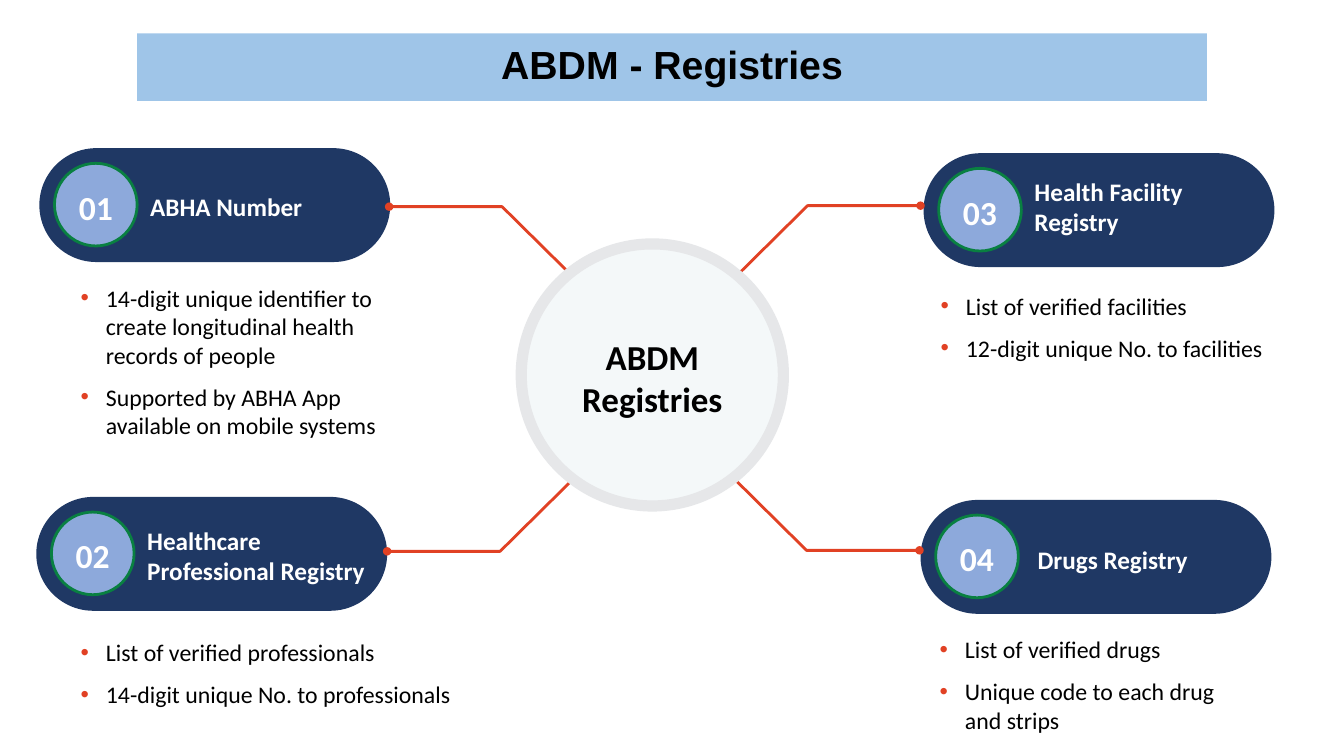
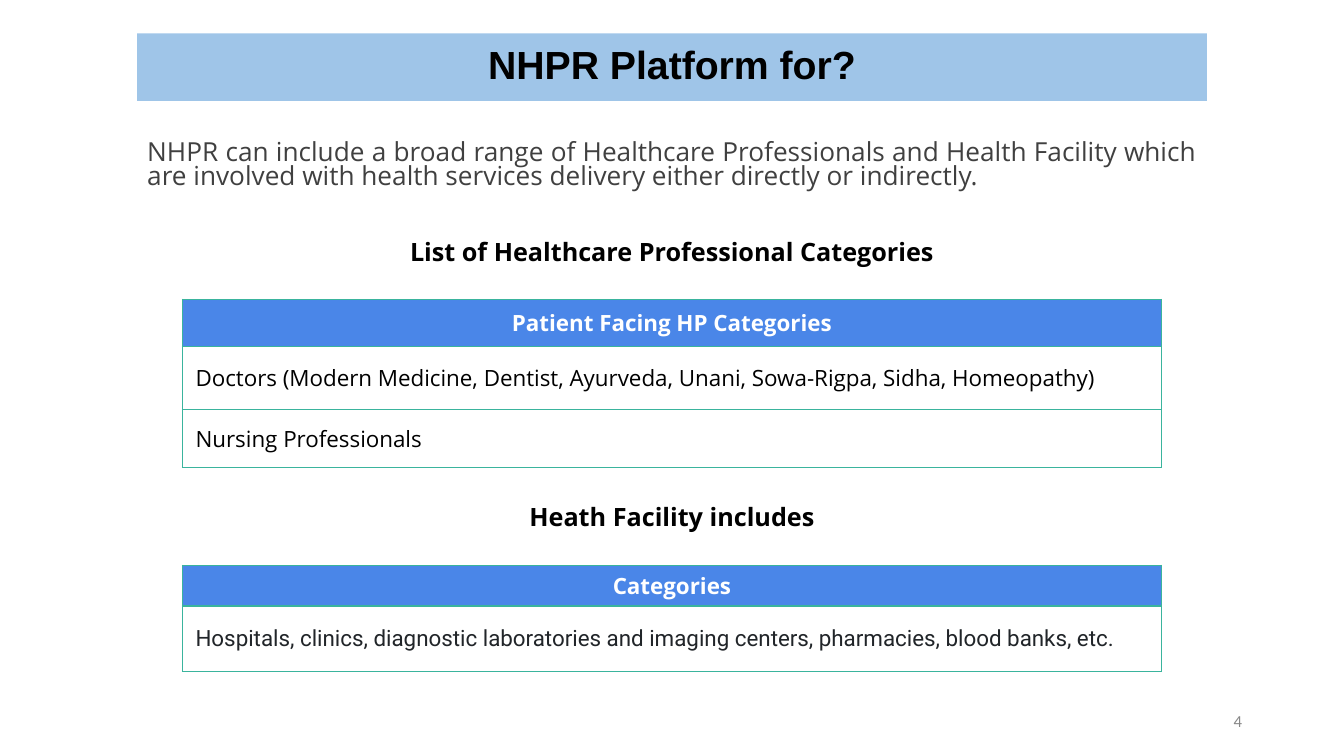
from dataclasses import dataclass

from lxml.etree import SubElement
from pptx import Presentation
from pptx.dml.color import RGBColor
from pptx.enum.shapes import MSO_SHAPE
from pptx.enum.text import MSO_ANCHOR, MSO_AUTO_SIZE, PP_ALIGN
from pptx.oxml.ns import qn
from pptx.util import Inches, Pt


@dataclass(frozen=True)
class Theme:
    band: str = "9FC5E8"
    navy: str = "1F3864"
    disc: str = "8DA9DB"
    green: str = "098041"
    red: str = "E14124"
    ring: str = "E6E7E9"
    hub: str = "F4F8F9"
    head: str = "4A86E8"
    rule: str = "3AB49D"
    white: str = "FFFFFF"
    black: str = "000000"
    grey: str = "404040"
    soft: str = "212529"
    pale: str = "888888"
    title: float = 28
    hubtext: float = 25
    number: float = 24
    lead: float = 18.7
    label: float = 18
    item: float = 17
    cell: float = 16
    page: float = 12
    arial: str = "Arial"
    plain: str = "Calibri"
    sans: str = "Open Sans"
    robot: str = "Roboto"


T = Theme()
MID = MSO_ANCHOR.MIDDLE
LEFT, CENTER, RIGHT = PP_ALIGN.LEFT, PP_ALIGN.CENTER, PP_ALIGN.RIGHT

# Pill corner, number, label, label offset, line start, line direction
PILLS = [
    (0.39, 1.47, "01", "ABHA Number", 1.1, 0.21, (3.86, 2.05), (1, 1)),
    (0.36, 4.93, "02", "Healthcare Professional Registry", 1.1, 0.21, (3.84, 5.47), (1, -1)),
    (9.16, 1.52, "03", "Health Facility Registry", 1.1, 0.16, (9.13, 2.04), (-1, 1)),
    (9.13, 4.96, "04", "Drugs Registry", 1.16, 0.22, (9.12, 5.46), (-1, -1)),
]
LISTS = [
    ((0.8, 2.81, 3.25, 1.55), [
        "14-digit unique identifier to create longitudinal health records of people",
        "Supported by ABHA App available on mobile systems"]),
    ((0.8, 6.33, 4.52, 0.75), [
        "List of verified professionals", "14-digit unique No. to professionals"]),
    ((9.33, 2.89, 3.57, 0.75), [
        "List of verified facilities", "12-digit unique No. to facilities"]),
    ((9.32, 6.3, 3.14, 1.05), [
        "List of verified drugs", "Unique code to each drug and strips"]),
]


def rgb(code):
    return RGBColor.from_string(code)


def place(shape, box):
    shape.left, shape.top, shape.width, shape.height = map(Inches, box)


def setup(frame, anchor=MSO_ANCHOR.TOP, pads=(0, 0, 0, 0)):
    """Fix wrapping, anchor and insets (left, top, right, bottom)."""
    frame.word_wrap = True
    frame.auto_size = MSO_AUTO_SIZE.NONE
    frame.vertical_anchor = anchor
    (frame.margin_left, frame.margin_top,
     frame.margin_right, frame.margin_bottom) = map(Inches, pads)


def write(para, text, size, font, color, bold=False, align=LEFT, lead=1.0, before=0):
    para.alignment = align
    para.line_spacing = lead
    para.space_before = Pt(before)
    run = para.add_run()
    run.text = text
    run.font.size = Pt(size)
    run.font.name = font
    run.font.bold = bold
    run.font.color.rgb = rgb(color)


def bullet(para, color=None):
    """Set a coloured bullet, or none when no colour is given."""
    props = para._p.get_or_add_pPr()
    indent = Inches(0.25) if color else 0
    props.set("marL", str(indent))
    props.set("indent", str(-indent))
    if color:
        tint = SubElement(props, qn("a:buClr"))
        SubElement(tint, qn("a:srgbClr"), val=color)
        SubElement(props, qn("a:buFont"), typeface=T.arial)
        SubElement(props, qn("a:buChar"), char="•")
    else:
        SubElement(props, qn("a:buNone"))


def shape(host, kind, box, fill, line=None, width=2):
    form = host.add_shape(kind, *map(Inches, box))
    form.shadow.inherit = False
    form.fill.solid()
    form.fill.fore_color.rgb = rgb(fill)
    if line:
        form.line.color.rgb = rgb(line)
        form.line.width = Pt(width)
    else:
        form.line.fill.background()
    return form


def label(host, box, text, size, font, color, bold=True, align=LEFT):
    frame = host.add_textbox(*map(Inches, box)).text_frame
    setup(frame, MID)
    write(frame.paragraphs[0], text, size, font, color, bold, align)


def title(slide, text):
    band = slide.shapes.title
    place(band, (1.36, 0.33, 10.61, 0.67))
    band.fill.solid()
    band.fill.fore_color.rgb = rgb(T.band)
    setup(band.text_frame, MID, (0.1, 0.05, 0.1, 0.05))
    write(band.text_frame.paragraphs[0], text, T.title, T.arial, T.black, True, CENTER, 0.9)


def pill(slide, x, y, num, text, dx, dy):
    group = slide.shapes.add_group_shape().shapes
    body = shape(group, MSO_SHAPE.ROUNDED_RECTANGLE, (x, y, 3.48, 1.13), T.navy)
    body.adjustments[0] = 0.5
    disc = shape(group, MSO_SHAPE.OVAL, (x + 0.15, y + 0.15, 0.82, 0.82), T.disc, T.green)
    setup(disc.text_frame, MID, (0, 0.04, 0, 0))
    write(disc.text_frame.paragraphs[0], num, T.number, T.plain, T.white, True, CENTER)
    label(group, (x + dx, y + dy, 2.22, 0.74), text, T.label, T.plain, T.white)


def elbow(slide, start, turn):
    """Draw a bent line from a pill towards the hub."""
    (x, y), (sx, sy) = start, turn
    bends = [(x + sx * 1.12, y), (x + sx * 2.04, y + sy * 0.91)]
    pen = slide.shapes.build_freeform(Inches(x), Inches(y))
    pen.add_line_segments([(Inches(a), Inches(b)) for a, b in bends], close=False)
    form = pen.convert_to_shape()
    form.shadow.inherit = False
    form.fill.background()
    form.line.color.rgb = rgb(T.red)
    form.line.width = Pt(2)
    for end in ("a:headEnd", "a:tailEnd"):
        SubElement(form.line._get_or_add_ln(), qn(end), type="oval")


def hub(slide, text):
    disc = shape(slide.shapes, MSO_SHAPE.OVAL, (5.17, 2.42, 2.6, 2.6), T.hub, T.ring, 8)
    setup(disc.text_frame, MID, (0.05, 0.05, 0.05, 0))
    write(disc.text_frame.paragraphs[0], text, T.hubtext, T.plain, T.black, True, CENTER)


def bullets(holder, box, items):
    place(holder, box)
    frame = holder.text_frame
    setup(frame)
    for i, text in enumerate(items):
        para = frame.add_paragraph() if i else frame.paragraphs[0]
        write(para, text, T.item, T.plain, T.black, before=9.6 if i else 0)
        bullet(para, T.red)


def border(cell):
    props = cell._tc.get_or_add_tcPr()
    for side in ("a:lnL", "a:lnR", "a:lnT", "a:lnB"):
        line = SubElement(props, qn(side), w=str(Pt(1)))
        fill = SubElement(line, qn("a:solidFill"))
        SubElement(fill, qn("a:srgbClr"), val=T.rule)


def table(slide, top, rows, font, color):
    """Draw a one-column table from (height, text) rows, the first a header."""
    high = sum(h for h, _ in rows)
    grid = slide.shapes.add_table(
        len(rows), 1, Inches(1.81), Inches(top), Inches(9.71), Inches(high)).table
    grid.first_row = grid.horz_banding = False
    for i, (height, text) in enumerate(rows):
        grid.rows[i].height = Inches(height)
        cell = grid.cell(i, 0)
        border(cell)
        cell.vertical_anchor = MID
        cell.margin_left = cell.margin_right = Inches(0.13)
        cell.margin_top = cell.margin_bottom = Inches(0.05)
        para = cell.text_frame.paragraphs[0]
        if i:
            cell.fill.background()
            write(para, text, T.cell, font, color)
        else:
            cell.fill.solid()
            cell.fill.fore_color.rgb = rgb(T.head)
            write(para, text, T.cell, T.sans, T.white, True, CENTER)


def registries(deck):
    slide = deck.slides.add_slide(deck.slide_layouts.get_by_name("Comparison"))
    title(slide, "ABDM - Registries")
    for *spot, start, turn in PILLS:
        pill(slide, *spot)
        elbow(slide, start, turn)
    hub(slide, "ABDM Registries")
    for idx, (box, items) in enumerate(LISTS, 1):
        bullets(slide.placeholders[idx], box, items)


def platform(deck):
    slide = deck.slides.add_slide(deck.slide_layouts.get_by_name("Title and Content"))
    title(slide, "NHPR Platform for?")
    body = slide.placeholders[1]
    place(body, (1.36, 1.35, 10.61, 0.98))
    setup(body.text_frame, pads=(0.1, 0.05, 0.1, 0.05))
    para = body.text_frame.paragraphs[0]
    write(para, "NHPR can include a broad range of Healthcare Professionals and Health "
          "Facility which are involved with health services delivery either directly "
          "or indirectly.", T.lead, T.sans, T.grey, align=PP_ALIGN.JUSTIFY, lead=0.79)
    bullet(para)
    for top, text in ((2.29, "List of Healthcare Professional Categories"),
                      (4.92, "Heath Facility includes")):
        label(slide.shapes, (1.81, top, 9.71, 0.4), text, T.label, T.sans, T.black,
              align=CENTER)
    table(slide, 2.97, [
        (0.47, "Patient Facing HP Categories"),
        (0.62, "Doctors (Modern Medicine, Dentist, Ayurveda, Unani, Sowa-Rigpa, "
               "Sidha, Homeopathy)"),
        (0.58, "Nursing Professionals")], T.sans, T.black)
    table(slide, 5.61, [
        (0.4, "Categories"),
        (0.65, "Hospitals, clinics, diagnostic laboratories and imaging centers, "
               "pharmacies, blood banks, etc.")], T.robot, T.soft)
    label(slide.shapes, (9.42, 6.95, 2.9, 0.4), "4", T.page, T.plain, T.pale, False, RIGHT)


def main():
    deck = Presentation()
    deck.slide_width, deck.slide_height = Inches(13.33), Inches(7.5)
    registries(deck)
    platform(deck)
    deck.save("out.pptx")


if __name__ == "__main__":
    main()
